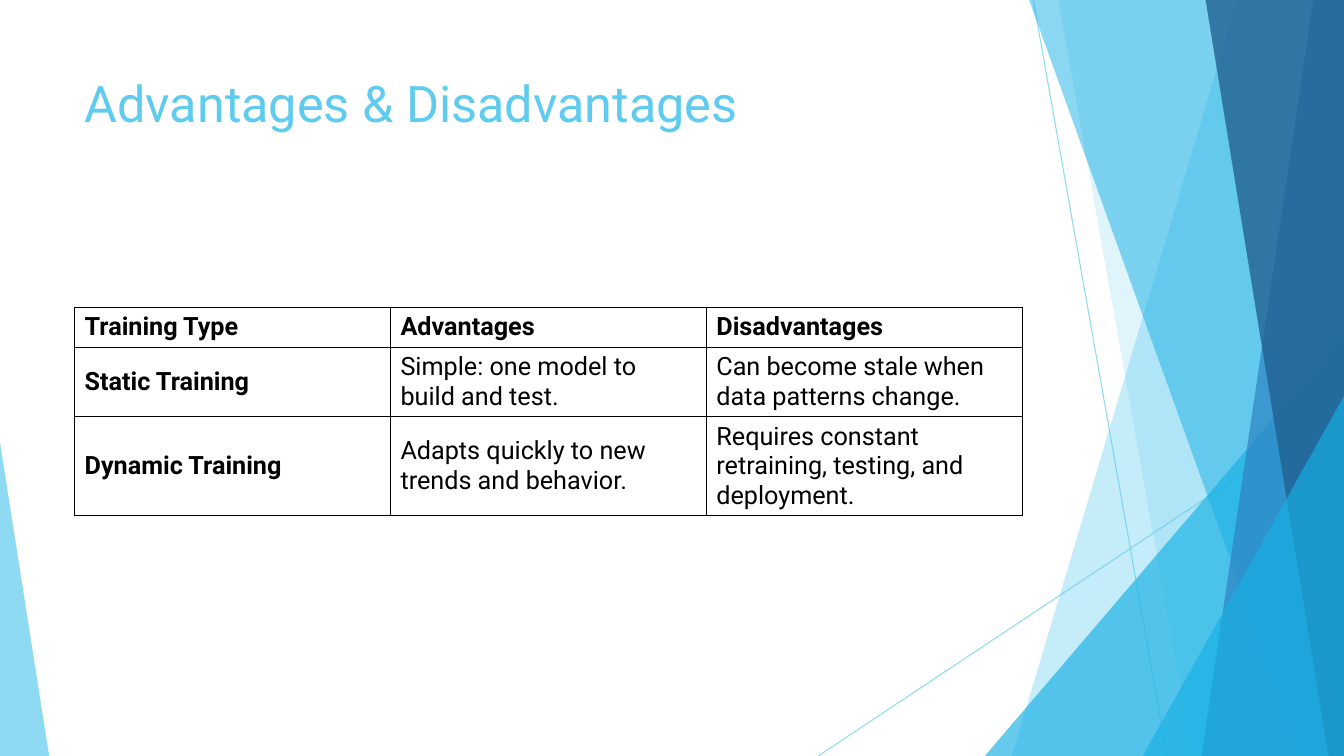
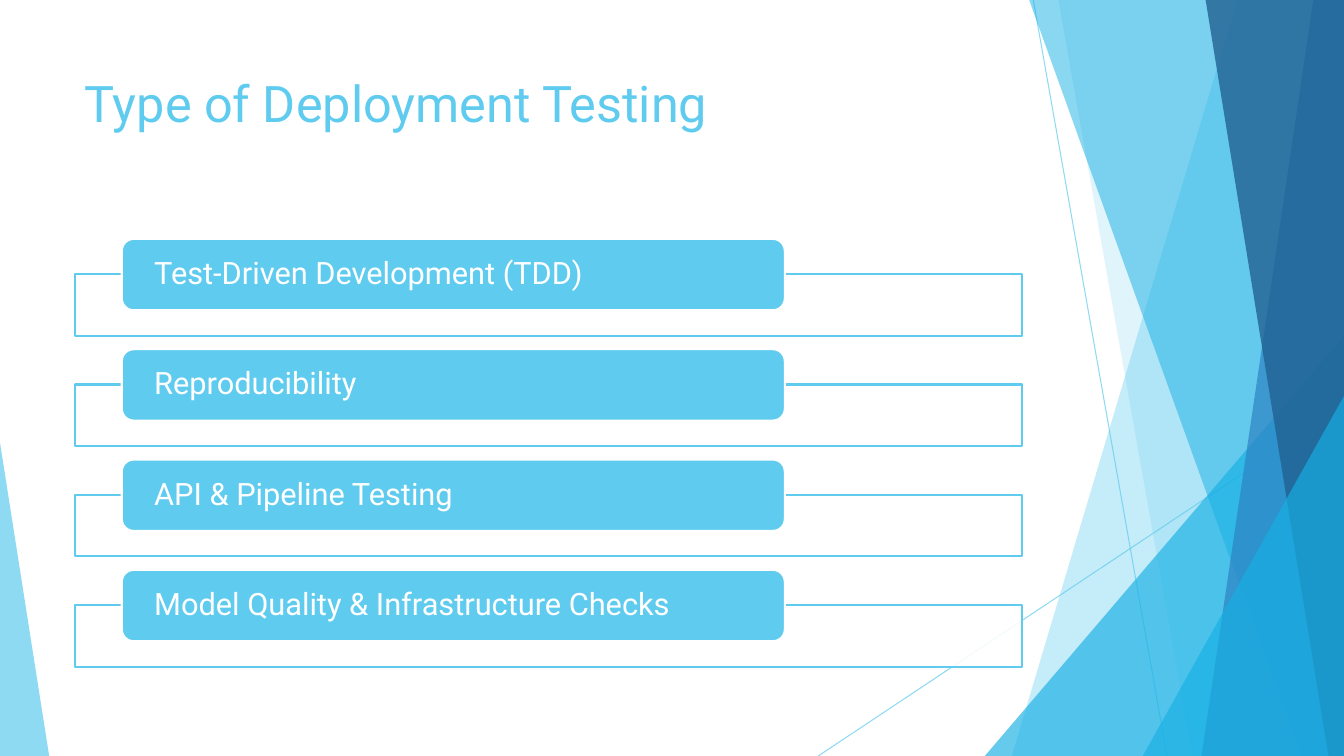
import pptx
import pptx.dml.color
import pptx.enum.shapes
import pptx.enum.text
import pptx.oxml.ns
import pptx.oxml.xmlchemy
import pptx.util

Cm, Pt = pptx.util.Cm, pptx.util.Pt
ANCHOR = pptx.enum.text.MSO_ANCHOR
ALIGN = pptx.enum.text.PP_ALIGN
SHAPE = pptx.enum.shapes.MSO_SHAPE
qn = pptx.oxml.ns.qn
new_element = pptx.oxml.xmlchemy.OxmlElement

# Shared look, lengths in cm
WIDTH, HEIGHT = 33.87, 19.05
LEFT, CONTENT_WIDTH = 1.88, 23.88
FONT = "Roboto"
SKY, CYAN, BLUE, NAVY = "5FCBEF", "17B0E4", "2E83C3", "226292"
WHITE, BLACK = "FFFFFF", "000000"

TITLE_BOX = {"left": Cm(LEFT), "top": Cm(1.7),
             "width": Cm(CONTENT_WIDTH), "height": Cm(3.66)}
TITLE_FRAME = {"word_wrap": True, "vertical_anchor": ANCHOR.TOP,
               "auto_size": pptx.enum.text.MSO_AUTO_SIZE.NONE}
TITLE_FONT = {"name": FONT, "size": Pt(36), "bold": False}
CELL_FONT = {"name": FONT, "size": Pt(18)}
TOPIC_FRAME = {"word_wrap": True, "vertical_anchor": ANCHOR.MIDDLE,
               "margin_left": Cm(0.73), "margin_right": Cm(0.73),
               "margin_top": 0, "margin_bottom": 0}
TOPIC_FONT = {"name": FONT, "size": Pt(22)}

# Backdrop: start x, y and end x, y of each ray
RAYS = [(26.04, 0, 29.41, HEIGHT), (WIDTH, 10.24, 20.62, HEIGHT)]
# Bands give the x of the left edge at top and bottom; wedges give a box and
# the position of the apex
FACETS = [
    ("band", (31.19, 25.5), SKY, 36),
    ("band", (26.67, 30.05), SKY, 20),
    ("wedge", (24.82, 8.46, 9.05, 10.59, 1), CYAN, 66),
    ("band", (25.93, 32.79), CYAN, 50),
    ("band", (33.1, 30.28), BLUE, 70),
    ("band", (30.38, 33.48), NAVY, 80),
    ("wedge", (28.8, 9.98, 5.07, 9.07, 1), CYAN, 66),
    ("wedge", (0, 11.15, 1.24, 7.9, 0), SKY, 70),
]

# Content
TRAINING = [
    ("Training Type", "Advantages", "Disadvantages"),
    ("Static Training", "Simple: one model to build and test.",
     "Can become stale when data patterns change."),
    ("Dynamic Training", "Adapts quickly to new trends and behavior.",
     "Requires constant retraining, testing, and deployment."),
]
ROW_HEIGHTS = (1, 1.74, 2.5)
TOPICS = ("Test-Driven Development (TDD)", "Reproducibility",
          "API & Pipeline Testing", "Model Quality & Infrastructure Checks")


def apply(target, values):
    for name, value in values.items():
        setattr(target, name, value)


def paint(fill, colour, opacity=100):
    """Fill a shape, line or font with a hex colour."""
    fill.solid()
    fill.fore_color.rgb = pptx.dml.color.RGBColor.from_string(colour)
    if opacity < 100:
        srgb = fill._xPr.find(qn("a:solidFill")).find(qn("a:srgbClr"))
        alpha = new_element("a:alpha")
        alpha.set("val", str(opacity * 1000))
        srgb.append(alpha)


def write(frame, text, values, colour):
    paragraph = frame.paragraphs[0]
    paragraph.alignment = ALIGN.LEFT
    run = paragraph.add_run()
    run.text = text
    apply(run.font, values)
    paint(run.font.fill, colour)
    return paragraph


def finish(shape, colour, opacity=100, outline=None):
    shape.shadow.inherit = False
    paint(shape.fill, colour, opacity)
    if outline:
        paint(shape.line.fill, outline)
        shape.line.width = Pt(1.5)
    else:
        shape.line.fill.background()


def add_box(shapes, kind, x, y, width, height):
    return shapes.add_shape(kind, Cm(x), Cm(y), Cm(width), Cm(height))


# Backdrop parts
def add_ray(shapes, x1, y1, x2, y2):
    ray = shapes.add_connector(pptx.enum.shapes.MSO_CONNECTOR.STRAIGHT,
                               Cm(x1), Cm(y1), Cm(x2), Cm(y2))
    paint(ray.line.fill, SKY, 70)
    ray.line.width = Pt(0.75)
    ray._element.spPr.append(new_element("a:effectLst"))


def add_band(shapes, top_x, bottom_x):
    top = Cm(-0.02)
    outline = shapes.build_freeform(Cm(top_x), top)
    outline.add_line_segments([(Cm(WIDTH), top), (Cm(WIDTH), Cm(HEIGHT)),
                               (Cm(bottom_x), Cm(HEIGHT))], close=True)
    return outline.convert_to_shape()


def add_wedge(shapes, x, y, width, height, apex):
    wedge = add_box(shapes, SHAPE.ISOSCELES_TRIANGLE, x, y, width, height)
    wedge.adjustments[0] = apex
    return wedge


def move_backdrop_to_layout(slide):
    """Draw the facets once and hand them to the slide's layout."""
    layout = slide.slide_layout
    for placeholder in list(layout.placeholders)[1:]:
        placeholder._element.getparent().remove(placeholder._element)
    backdrop = slide.shapes.add_group_shape()
    for ray in RAYS:
        add_ray(backdrop.shapes, *ray)
    builders = {"band": add_band, "wedge": add_wedge}
    for kind, geometry, colour, opacity in FACETS:
        finish(builders[kind](backdrop.shapes, *geometry), colour, opacity)
    layout.shapes._spTree.insert(2, backdrop._element)


# Slide parts
def add_titled_slide(deck, title):
    slide = deck.slides.add_slide(deck.slide_layouts[5])
    heading = slide.shapes.title
    apply(heading, TITLE_BOX)
    apply(heading.text_frame, TITLE_FRAME)
    write(heading.text_frame, title, TITLE_FONT, SKY)
    return slide


def border_cell(cell):
    properties = cell._tc.get_or_add_tcPr()
    for position, side in enumerate(("a:lnL", "a:lnR", "a:lnT", "a:lnB")):
        edge = new_element(side)
        edge.set("w", str(Pt(1)))
        solid = new_element("a:solidFill")
        colour = new_element("a:srgbClr")
        colour.set("val", BLACK)
        solid.append(colour)
        edge.append(solid)
        properties.insert(position, edge)


def add_training_table(slide):
    columns = len(TRAINING[0])
    table = slide.shapes.add_table(
        len(TRAINING), columns, Cm(LEFT), Cm(7.75),
        Cm(CONTENT_WIDTH), Cm(sum(ROW_HEIGHTS))).table
    apply(table, {"first_row": False, "horz_banding": False})
    for column in table.columns:
        column.width = Cm(CONTENT_WIDTH / columns)
    for r, (texts, height) in enumerate(zip(TRAINING, ROW_HEIGHTS)):
        table.rows[r].height = Cm(height)
        for c, text in enumerate(texts):
            cell = table.cell(r, c)
            cell.vertical_anchor = ANCHOR.MIDDLE
            cell.fill.background()
            border_cell(cell)
            is_heading = r == 0 or c == 0
            write(cell.text_frame, text, {**CELL_FONT, "bold": is_heading},
                  BLACK)


def add_topic(slide, text, y):
    panel = add_box(slide.shapes, SHAPE.RECTANGLE,
                    LEFT, y + 0.89, CONTENT_WIDTH, 1.55)
    finish(panel, WHITE, 90, outline=SKY)
    label = add_box(slide.shapes, SHAPE.ROUNDED_RECTANGLE,
                    3.07, y, 16.71, 1.8)
    finish(label, SKY, outline=WHITE)
    apply(label.text_frame, TOPIC_FRAME)
    write(label.text_frame, text, TOPIC_FONT, WHITE).line_spacing = 0.9


def main():
    deck = pptx.Presentation()
    apply(deck, {"slide_width": Cm(WIDTH), "slide_height": Cm(HEIGHT)})

    # Comparison table
    comparison = add_titled_slide(deck, "Advantages & Disadvantages")
    move_backdrop_to_layout(comparison)
    add_training_table(comparison)

    # List of test types
    testing = add_titled_slide(deck, "Type of Deployment Testing")
    for index, topic in enumerate(TOPICS):
        add_topic(testing, topic, 6.02 + index * 2.78)

    deck.save("out.pptx")


if __name__ == "__main__":
    main()
